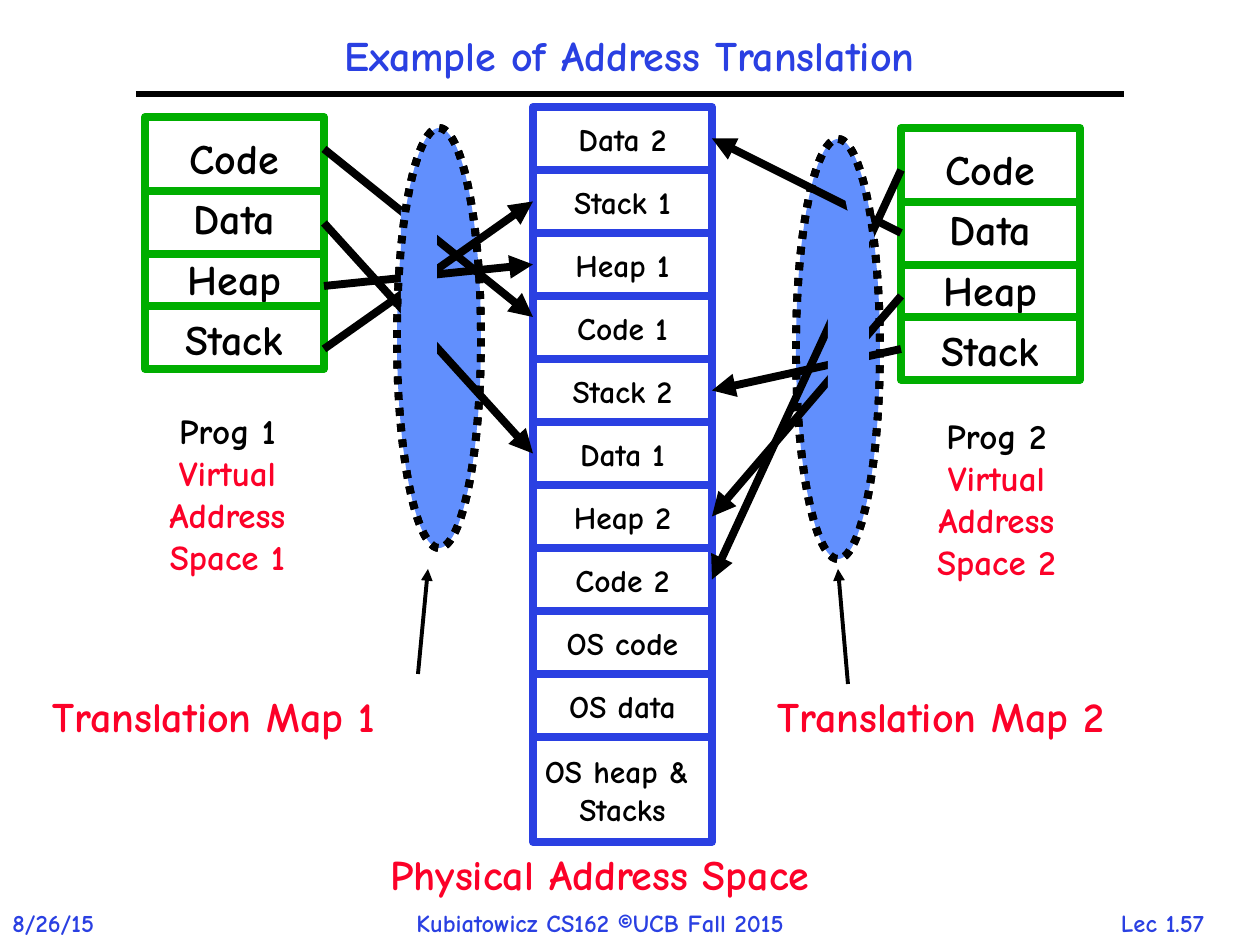
from lxml import etree
from pptx import Presentation
from pptx.dml.color import RGBColor
from pptx.enum import dml, shapes, text
from pptx.oxml import ns
from pptx.util import Pt

SCALE = 914400 / 126  # EMU per px
FONT = "Comic Neue"
BLACK = RGBColor(0x00, 0x00, 0x00)
WHITE = RGBColor(0xFF, 0xFF, 0xFF)
BLUE = RGBColor(0x2A, 0x40, 0xE2)
SKY = RGBColor(0x61, 0x8F, 0xFD)
GREEN = RGBColor(0x00, 0xAE, 0x00)
RED = RGBColor(0xFC, 0x01, 0x28)

# Physical memory column
MEMORY_LEFT, MEMORY_TOP, BOX_WIDTH, ROW_HEIGHT = 533, 107, 179, 63
MEMORY_ROWS = ["Data 2", "Stack 1", "Heap 1", "Code 1", "Stack 2", "Data 1",
               "Heap 2", "Code 2", "OS code", "OS data", "OS heap & \nStacks"]
LAST_ROW_HEIGHT = 105

# Program address spaces
SEGMENTS = "Code\nData\nHeap\nStack"
PROGRAM_HEIGHT = 252
DIVIDERS = [74, 137, 189]
MAP_1 = (397, 128, 84, 420)
MAP_2 = (796, 139, 84, 420)


def px(length):
    return round(length * SCALE)


def write(shape, content, size=24, color=BLACK, first_color=None,
          align=text.PP_ALIGN.CENTER, anchor=text.MSO_ANCHOR.MIDDLE,
          spacing=None, wrap=False):
    frame = shape.text_frame
    frame.text = content
    frame.word_wrap = wrap
    frame.vertical_anchor = anchor
    for index, paragraph in enumerate(frame.paragraphs):
        paragraph.alignment = align
        if spacing:
            paragraph.line_spacing = spacing
        font = paragraph.runs[0].font
        font.name, font.size, font.bold = FONT, Pt(size), True
        font.color.rgb = first_color if first_color and index == 0 else color


def add_label(slide, box, content, **style):
    label = slide.shapes.add_textbox(*map(px, box))
    style.setdefault("align", text.PP_ALIGN.LEFT)
    write(label, content, anchor=text.MSO_ANCHOR.TOP, **style)


def add_block(slide, box, fill=None, line=None, dash=None,
              kind=shapes.MSO_SHAPE.RECTANGLE):
    block = slide.shapes.add_shape(kind, *map(px, box))
    block.shadow.inherit = False
    if fill is None:
        block.fill.background()
    else:
        block.fill.solid()
        block.fill.fore_color.rgb = fill
    if line is None:
        block.line.fill.background()
    else:
        block.line.color.rgb = line
        block.line.width = Pt(4.5)
        if dash:
            block.line.dash_style = dash
    return block


def add_map(slide, box, fill=None):
    add_block(slide, box, fill, BLACK, dml.MSO_LINE.ROUND_DOT,
              shapes.MSO_SHAPE.OVAL)


def add_line(slide, start, end, color=BLACK, width=4.5, arrow=False):
    line = slide.shapes.add_connector(shapes.MSO_CONNECTOR.STRAIGHT,
                                      *map(px, start + end))
    line.line.color.rgb = color
    line.line.width = Pt(width)
    if arrow:
        tail = etree.SubElement(line.line._get_or_add_ln(), ns.qn("a:tailEnd"))
        tail.set("type", "triangle")
    etree.SubElement(line._element.spPr, ns.qn("a:effectLst"))
    return line


def add_program(slide, left, top):
    block = add_block(slide, (left, top, BOX_WIDTH, PROGRAM_HEIGHT), WHITE, GREEN)
    write(block, SEGMENTS, spacing=1.2)
    for offset in DIVIDERS:
        add_line(slide, (left, top + offset), (left + BOX_WIDTH, top + offset), GREEN)


def add_memory(slide):
    rows = {}
    for index, name in enumerate(MEMORY_ROWS):
        height = LAST_ROW_HEIGHT if name == MEMORY_ROWS[-1] else ROW_HEIGHT
        top = MEMORY_TOP + index * ROW_HEIGHT
        rows[name] = add_block(slide, (MEMORY_LEFT, top, BOX_WIDTH, height), WHITE, BLUE)
        write(rows[name], name, size=18)
    return rows


def add_mapping(slide, rows, start, name, side):
    end_x = MEMORY_LEFT if side == 1 else MEMORY_LEFT + BOX_WIDTH
    end_y = MEMORY_TOP + (MEMORY_ROWS.index(name) + 0.5) * ROW_HEIGHT
    arrow = add_line(slide, start, (end_x, end_y), arrow=True)
    arrow.end_connect(rows[name], side)


def main():
    presentation = Presentation()
    presentation.slide_width, presentation.slide_height = px(1260), px(945)
    slide = presentation.slides.add_slide(presentation.slide_layouts[5])

    # Title, rule and footer
    title = slide.shapes.title
    title.left, title.top, title.width, title.height = map(px, (136, 21, 987, 73))
    write(title, "Example of Address Translation", color=BLUE, spacing=0.9, wrap=True)
    add_line(slide, (136, 94), (1124, 94), width=3)
    add_label(slide, (0, 902, 126, 43), "8/26/15", size=14, color=BLUE)
    add_label(slide, (404, 902, 455, 43), "Kubiatowicz CS162 ©UCB Fall 2015",
              size=14, color=BLUE)
    add_label(slide, (1087, 902, 151, 43), "Lec 1.57", size=14, color=BLUE,
              align=text.PP_ALIGN.CENTER)

    # Filled translation maps behind the arrows
    for box in (MAP_2, MAP_1):
        add_map(slide, box, SKY)

    # Virtual and physical address spaces
    for number, left, top in ((1, 146, 403), (2, 915, 408)):
        add_label(slide, (left, top, 163, 180),
                  f"Prog {number}\nVirtual\nAddress\nSpace {number}", size=20,
                  color=RED, first_color=BLACK, align=text.PP_ALIGN.CENTER)
    add_program(slide, 145, 117)
    add_program(slide, 901, 128)
    rows = add_memory(slide)

    # Mappings from segments to memory rows
    add_line(slide, (324, 149), (533, 317), arrow=True)
    for y, name in ((223, "Data 1"), (286, "Heap 1"), (349, "Stack 1")):
        add_mapping(slide, rows, (324, y), name, 1)
    for y, name in ((170, "Code 2"), (233, "Data 2"), (296, "Heap 2"), (349, "Stack 2")):
        add_mapping(slide, rows, (901, y), name, 3)

    # Patches that hide the arrows inside the maps, then the map outlines
    add_block(slide, (401, 210, 36, 189), SKY)
    add_map(slide, MAP_1)
    add_block(slide, (828, 233, 41, 199), SKY)
    add_block(slide, (848, 180, 21, 63), SKY).rotation = 348.5
    add_map(slide, MAP_2)

    # Captions and pointers
    add_label(slide, (40, 684, 397, 63), "Translation Map 1", color=RED)
    add_label(slide, (765, 684, 397, 63), "Translation Map 2", color=RED)
    add_line(slide, (418, 674), (428, 569), width=2.25, arrow=True)
    add_line(slide, (848, 684), (838, 569), width=2.25, arrow=True)
    add_label(slide, (378, 842, 505, 63), "Physical Address Space", color=RED)

    presentation.save("out.pptx")


if __name__ == "__main__":
    main()
